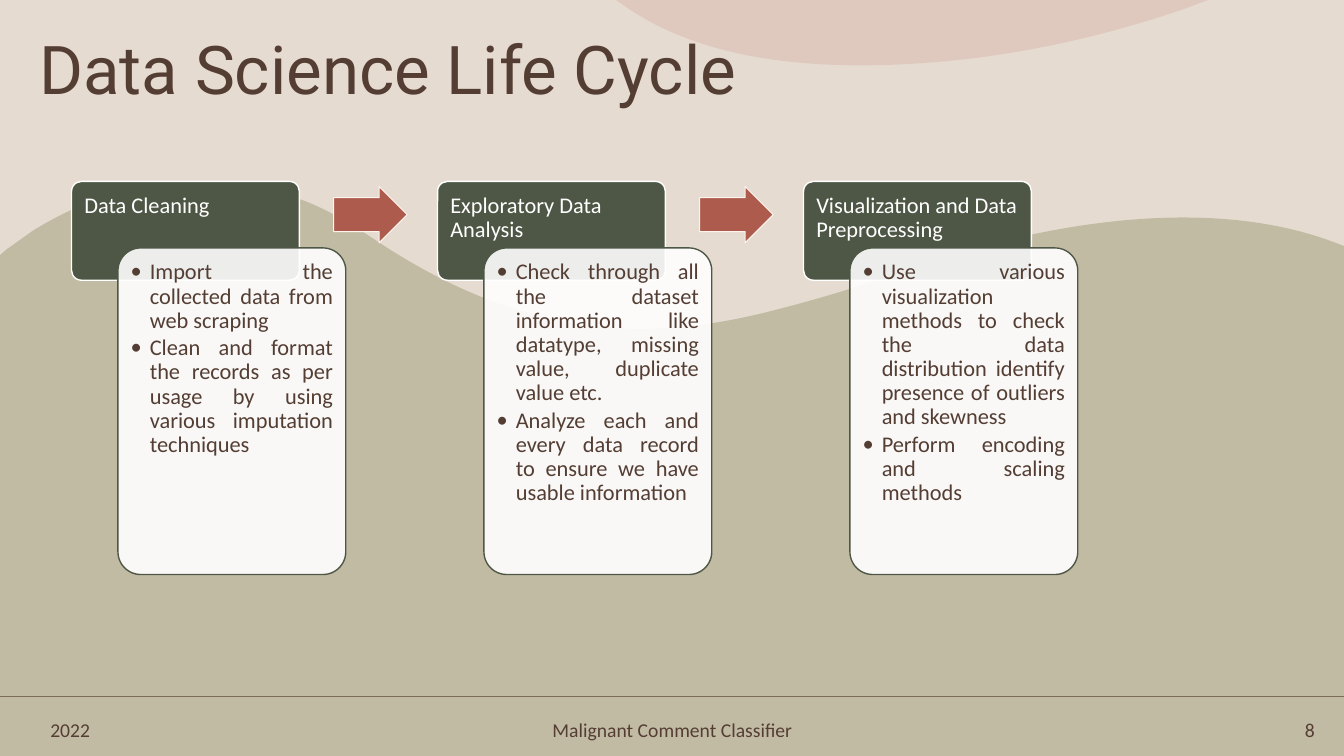
from dataclasses import dataclass

from lxml import etree
from pptx import Presentation
from pptx.dml.color import RGBColor
from pptx.enum.shapes import MSO_CONNECTOR, MSO_SHAPE
from pptx.enum.text import MSO_ANCHOR, MSO_AUTO_SIZE, PP_ALIGN
from pptx.oxml.ns import qn
from pptx.shapes.autoshape import Shape
from pptx.slide import Slide
from pptx.text.text import TextFrame
from pptx.util import Inches, Pt

Point = tuple[float, float]
Box = tuple[float, float, float, float]


@dataclass(frozen=True)
class Theme:
    sand: str = "E6DBD0"
    hill: str = "A09D79"
    blush: str = "CF9B92"
    brown: str = "543E34"
    green: str = "4E5745"
    brick: str = "AC5B4C"
    cream: str = "FEF3ED"
    white: str = "FFFFFF"
    title_font: str = "Roboto"
    body_font: str = "Calibri"
    title_size: int = 48
    body_size: int = 16
    footer_size: int = 14


@dataclass(frozen=True)
class Stage:
    name: str
    tasks: tuple[str, ...]


@dataclass(frozen=True)
class Footer:
    text: str
    left: float
    width: float
    align: PP_ALIGN


@dataclass(frozen=True)
class Wave:
    """An outline whose steps are one point (line) or three (Bezier curve)."""
    at: Box
    start: Point
    steps: tuple[tuple[Point, ...], ...]
    color: str
    opacity: int


THEME = Theme()
STAGES = (
    Stage("Data Cleaning", (
        "Import the collected data from web scraping",
        "Clean and format the records as per usage by using various imputation techniques")),
    Stage("Exploratory Data Analysis", (
        "Check through all the dataset information like datatype, missing value, duplicate value etc.",
        "Analyze each and every data record to ensure we have usable information")),
    Stage("Visualization and Data Preprocessing", (
        "Use various visualization methods to check the data distribution identify "
        "presence of outliers and skewness",
        "Perform encoding and scaling methods")),
)
FOOTERS = (
    Footer("2022", 0.4, 1.08, PP_ALIGN.LEFT),
    Footer("Malignant Comment Classifier", 4.79, 3.76, PP_ALIGN.CENTER),
    Footer("8", 12.06, 1.08, PP_ALIGN.RIGHT),
)
WAVES = (
    Wave((0, 1.79, 13.33, 5.71), (2.02, 1.8), (
        ((2.36, 1.8), (2.7, 1.87), (3.04, 2)),
        ((3.34, 2.12), (3.6, 2.3), (3.86, 2.47)),
        ((4.43, 2.83), (5.05, 3.11), (5.77, 3.22)),
        ((6.37, 3.31), (6.98, 3.25), (7.59, 3.1)),
        ((8.27, 2.93), (8.67, 2.79), (9.08, 2.65)),
        ((9.48, 2.51), (11.61, 1.78), (13.25, 2.41)),
        ((13.33, 2.44),), ((13.33, 7.5),), ((0, 7.5),), ((0, 2.53),), ((0.07, 2.47),),
        ((0.16, 2.41), (0.25, 2.34), (0.34, 2.28)),
        ((0.9, 1.94), (1.46, 1.78), (2.02, 1.8))), THEME.hill, 50),
    Wave((6.11, 0, 5.86, 0.65), (6.11, 0), (
        ((11.98, 0),), ((11.77, 0.08),),
        ((10.56, 0.5), (9.61, 0.59), (9.24, 0.62)),
        ((7.56, 0.75), (6.71, 0.41), (6.21, 0.07))), THEME.blush, 27),
)
FIRST_LEFT, TOP, STAGE_STEP = 0.71, 1.8, 3.63
BOX_WIDTH, HEADER_HEIGHT, CARD_HEIGHT = 2.26, 0.98, 3.24
CARD_DX, CARD_DY = 0.46, 0.66
RULE_Y = 6.91


def rgb(color: str) -> RGBColor:
    return RGBColor.from_string(color)


def paint(shape: Shape, color: str, opacity: int = 100) -> None:
    shape.shadow.inherit = False
    shape.fill.solid()
    shape.fill.fore_color.rgb = rgb(color)
    if opacity < 100:
        clr = shape.fill._xPr.find(qn("a:solidFill"))[0]
        etree.SubElement(clr, qn("a:alpha")).set("val", str(opacity * 1000))


def write(tf: TextFrame, texts: tuple[str, ...], size: int, color: str,
          align: PP_ALIGN = PP_ALIGN.LEFT, font: str = THEME.body_font) -> None:
    tf.word_wrap = True
    tf.auto_size = MSO_AUTO_SIZE.NONE
    for i, text in enumerate(texts):
        p = tf.paragraphs[0] if i == 0 else tf.add_paragraph()
        p.text = text
        p.alignment = align
        p.font.name, p.font.size = font, Pt(size)
        p.font.color.rgb = rgb(color)


def draw_wave(s: Slide, wave: Wave) -> None:
    left, top, width, height = map(Inches, wave.at)
    ends = [(Inches(x), Inches(y)) for x, y in (step[-1] for step in wave.steps)]
    builder = s.shapes.build_freeform(*map(Inches, wave.start))
    builder.add_line_segments(ends, close=True)
    sp = builder.convert_to_shape()
    sp.left, sp.top, sp.width, sp.height = left, top, width, height
    paint(sp, wave.color, wave.opacity)
    sp.line.fill.background()

    # Redraw the outline with true curves, relative to the wave's box
    outline = next(sp._element.iter(qn("a:path")))
    for child in list(outline):
        outline.remove(child)
    outline.set("w", str(width))
    outline.set("h", str(height))
    for i, step in enumerate(((wave.start,), *wave.steps)):
        tag = "a:moveTo" if i == 0 else "a:lnTo" if len(step) == 1 else "a:cubicBezTo"
        segment = etree.SubElement(outline, qn(tag))
        for x, y in step:
            etree.SubElement(segment, qn("a:pt"), x=str(Inches(x) - left), y=str(Inches(y) - top))
    etree.SubElement(outline, qn("a:close"))


def add_box(s: Slide, kind: MSO_SHAPE, at: Box, fill: str, line: str,
            width: float = 1, opacity: int = 100) -> Shape:
    sp = s.shapes.add_shape(kind, *map(Inches, at))
    paint(sp, fill, opacity)
    sp.line.color.rgb = rgb(line)
    sp.line.width = Pt(width)
    return sp


def add_text_box(s: Slide, at: Box, fill: str, line: str, inset: float,
                 opacity: int = 100) -> Shape:
    sp = add_box(s, MSO_SHAPE.ROUNDED_RECTANGLE, at, fill, line, opacity=opacity)
    sp.adjustments[0] = 0.1
    tf = sp.text_frame
    tf.vertical_anchor = MSO_ANCHOR.TOP
    tf.margin_left = tf.margin_right = tf.margin_top = tf.margin_bottom = Inches(inset)
    return sp


def draw_stage(s: Slide, stage: Stage, left: float) -> None:
    header = add_text_box(s, (left, TOP, BOX_WIDTH, HEADER_HEIGHT),
                          THEME.green, THEME.white, 0.1)
    write(header.text_frame, (stage.name,), THEME.body_size, THEME.white)
    header.text_frame.paragraphs[0].line_spacing = 0.9

    card = add_text_box(s, (left + CARD_DX, TOP + CARD_DY, BOX_WIDTH, CARD_HEIGHT),
                        THEME.white, THEME.green, 0.06, opacity=90)
    write(card.text_frame, stage.tasks, THEME.body_size, THEME.brown, PP_ALIGN.JUSTIFY)
    for p in card.text_frame.paragraphs:
        p.line_spacing = 0.9
        p.space_after = Pt(2.4)
        pPr = p._p.get_or_add_pPr()
        pPr.set("marL", str(Inches(0.19)))
        pPr.set("indent", str(-Inches(0.19)))
        for bullet in (etree.Element(qn("a:buFont"), typeface=THEME.body_font),
                       etree.Element(qn("a:buChar"), char="•")):
            pPr.insert_element_before(bullet, "a:tabLst", "a:defRPr", "a:extLst")


def main() -> None:
    prs = Presentation()
    prs.slide_width, prs.slide_height = Inches(13.33), Inches(7.5)
    s = prs.slides.add_slide(prs.slide_layouts[5])
    s.background.fill.solid()
    s.background.fill.fore_color.rgb = rgb(THEME.sand)

    # Backdrop: footer rule and waves
    rule = s.shapes.add_connector(MSO_CONNECTOR.STRAIGHT, 0, Inches(RULE_Y),
                                  prs.slide_width, Inches(RULE_Y))
    rule.line.color.rgb = rgb(THEME.brown)
    rule.line.width = Pt(1.25)
    etree.SubElement(rule._element.spPr, qn("a:effectLst"))
    for wave in WAVES:
        draw_wave(s, wave)

    # Footer
    for footer in FOOTERS:
        box = s.shapes.add_textbox(Inches(footer.left), Inches(7.07),
                                   Inches(footer.width), Inches(0.34))
        box.text_frame.vertical_anchor = MSO_ANCHOR.MIDDLE
        write(box.text_frame, (footer.text,), THEME.footer_size, THEME.brown, footer.align)

    # Title, brought in front of the backdrop
    title = s.shapes.title
    title.left, title.top, title.width, title.height = map(Inches, (0.29, 0.35, 11.5, 0.74))
    title.text_frame.vertical_anchor = MSO_ANCHOR.MIDDLE
    write(title.text_frame, ("Data Science Life Cycle",), THEME.title_size, THEME.brown,
          font=THEME.title_font)
    title.text_frame.paragraphs[0].line_spacing = 0.9
    s.shapes._spTree.append(title._element)

    # Stages, with an arrow leading to each later one
    for i, stage in enumerate(STAGES):
        left = FIRST_LEFT + i * STAGE_STEP
        if i:
            arrow = add_box(s, MSO_SHAPE.RIGHT_ARROW, (left - 1.03, 1.85, 0.73, 0.56),
                            THEME.brick, THEME.cream, 0.75)
            arrow.adjustments[0] = 0.6
        draw_stage(s, stage, left)

    prs.save("out.pptx")


if __name__ == "__main__":
    main()
